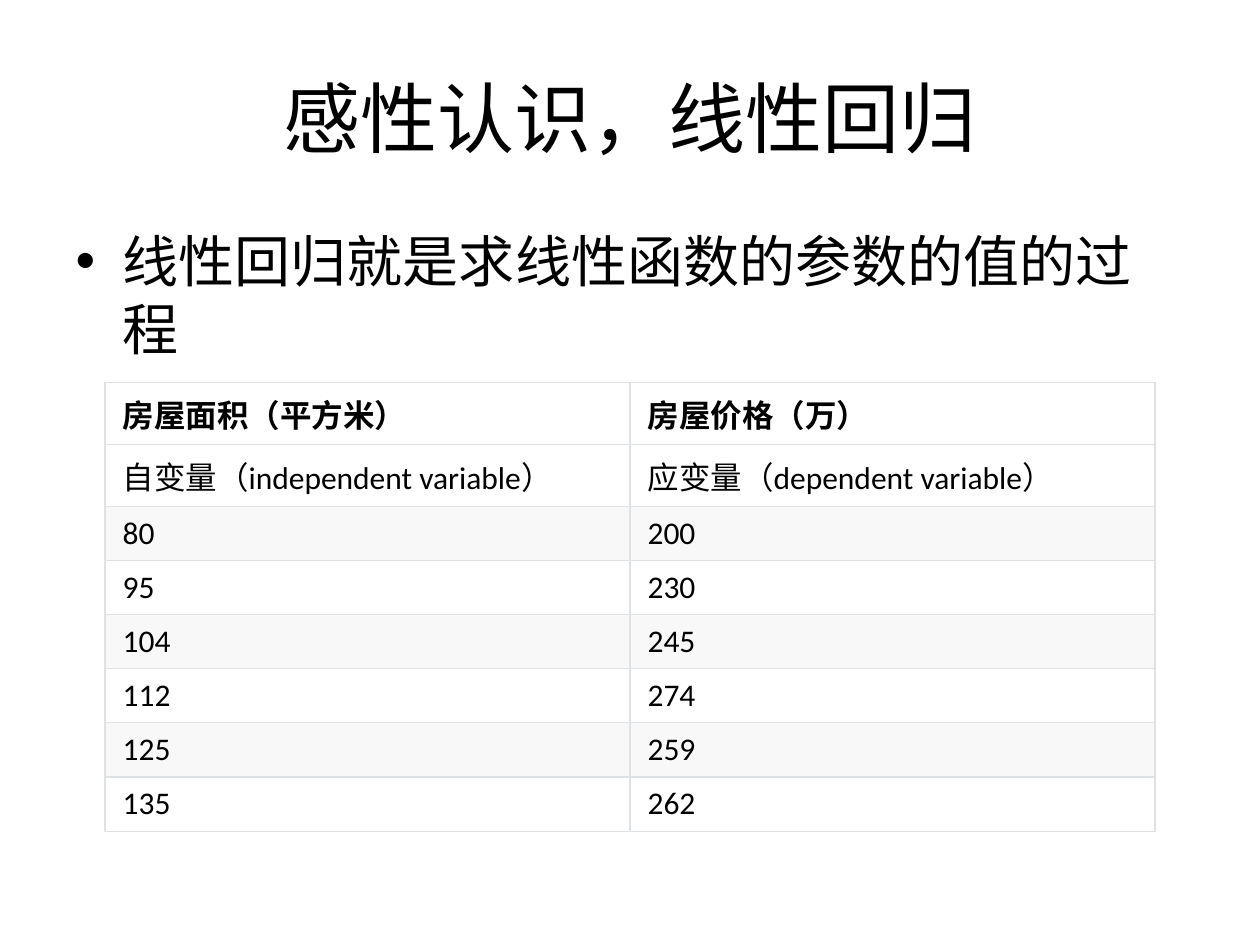
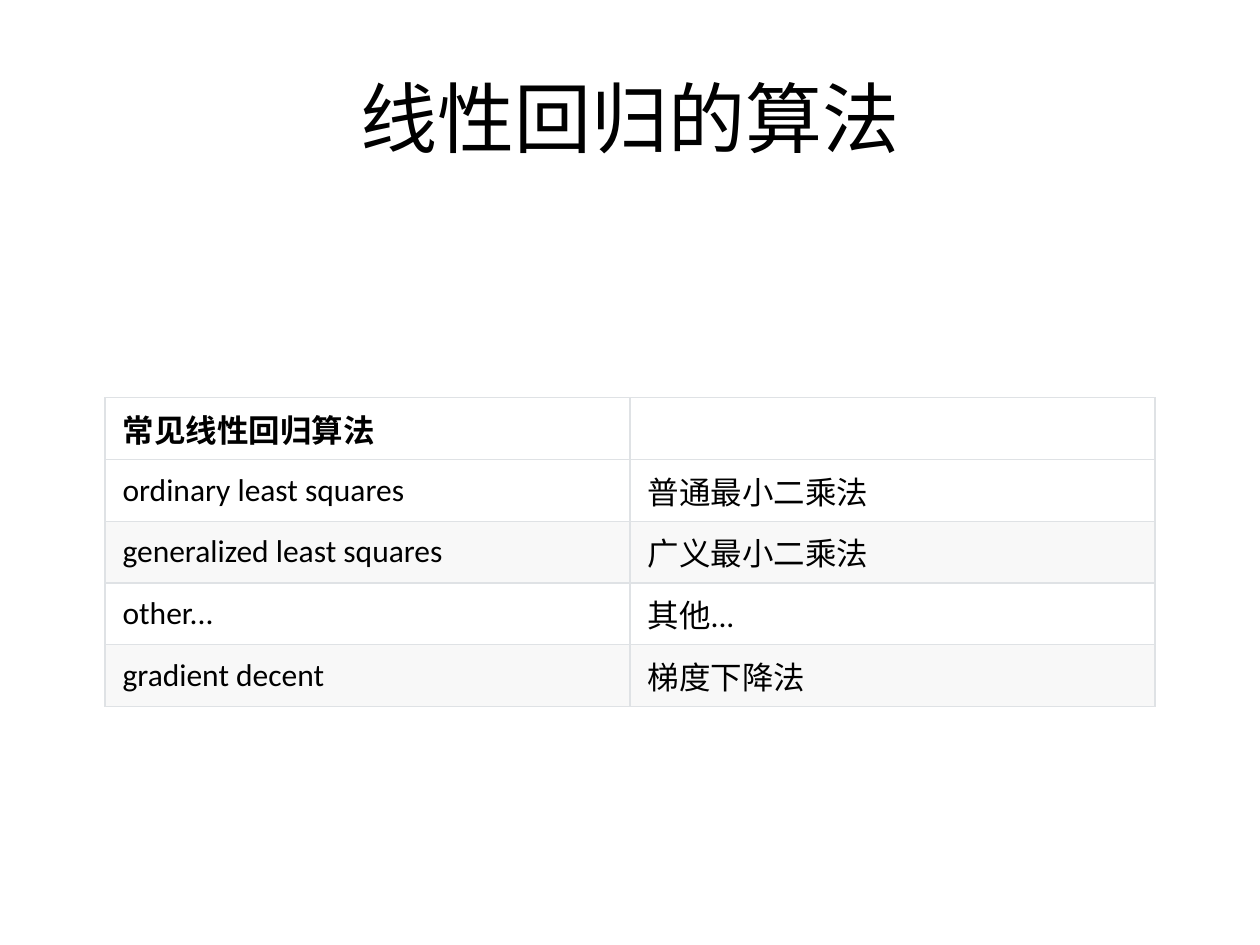
from dataclasses import dataclass

import pptx
import pptx.dml.color
import pptx.enum.text
import pptx.oxml
import pptx.oxml.ns
import pptx.util
from pptx.util import Inches


@dataclass(frozen=True)
class Theme:
    font: str = "Calibri"
    ink: str = "000000"
    band: str = "F8F8F8"
    rule: str = "DFE2E5"
    title_size: int = 44
    body_size: int = 32
    table_size: int = 18
    rule_width: float = 0.75


THEME = Theme()
SLIDE_W, SLIDE_H = Inches(10), Inches(7.5)
TITLE_AND_CONTENT, TITLE_ONLY = 1, 5

# Boxes as shares of the slide: left, top, width, height
TITLE_BOX = (0.05, 0.04, 0.9, 1 / 6)
BODY_BOX = (0.05, 7 / 30, 0.9, 0.66)
TABLE_LEFT, TABLE_WIDTH = 1 / 12, 10 / 12

# Rows with Chinese text need more height than rows of digits
CHINESE_ROW, DIGIT_ROW = Inches(0.49), Inches(0.43)
CELL_SIDE, CELL_EDGE = Inches(0.14), Inches(0.06)

HOUSE_PRICES = [
    ("房屋面积（平方米）", "房屋价格（万）"),
    ("自变量（independent variable）", "应变量（dependent variable）"),
    ("80", "200"),
    ("95", "230"),
    ("104", "245"),
    ("112", "274"),
    ("125", "259"),
    ("135", "262"),
]
ALGORITHMS = [
    ("常见线性回归算法", ""),
    ("ordinary least squares", "普通最小二乘法"),
    ("generalized least squares", "广义最小二乘法"),
    ("other...", "其他..."),
    ("gradient decent", "梯度下降法"),
]


def style_text(paragraph, size, bold=False):
    font = paragraph.font
    font.name = THEME.font
    font.size = pptx.util.Pt(size)
    font.bold = bold
    font.color.rgb = pptx.dml.color.RGBColor.from_string(THEME.ink)


def fill_placeholder(placeholder, box, text, size):
    left, top, width, height = box
    placeholder.left, placeholder.width = int(left * SLIDE_W), int(width * SLIDE_W)
    placeholder.top, placeholder.height = int(top * SLIDE_H), int(height * SLIDE_H)
    placeholder.text_frame.text = text
    style_text(placeholder.text_frame.paragraphs[0], size)


def add_titled_slide(deck, layout, title):
    slide = deck.slides.add_slide(deck.slide_layouts[layout])
    fill_placeholder(slide.shapes.title, TITLE_BOX, title, THEME.title_size)
    slide.shapes.title.text_frame.vertical_anchor = pptx.enum.text.MSO_ANCHOR.MIDDLE
    return slide


def add_borders(cell):
    properties = cell._tc.get_or_add_tcPr()
    for side in ("lnL", "lnR", "lnT", "lnB"):
        properties.append(pptx.oxml.parse_xml(
            f'<a:{side} {pptx.oxml.ns.nsdecls("a")} w="{pptx.util.Pt(THEME.rule_width)}">'
            f'<a:solidFill><a:srgbClr val="{THEME.rule}"/></a:solidFill></a:{side}>'))


def format_cell(cell, text, is_header, is_banded):
    cell.text = text
    style_text(cell.text_frame.paragraphs[0], THEME.table_size, is_header)
    cell.vertical_anchor = pptx.enum.text.MSO_ANCHOR.MIDDLE
    cell.margin_left = cell.margin_right = CELL_SIDE
    cell.margin_top = cell.margin_bottom = CELL_EDGE
    add_borders(cell)
    if is_banded:
        cell.fill.solid()
        cell.fill.fore_color.rgb = pptx.dml.color.RGBColor.from_string(THEME.band)
    else:
        cell.fill.background()


def add_ruled_table(slide, top, records):
    heights = [DIGIT_ROW if "".join(record).isdigit() else CHINESE_ROW
               for record in records]
    table = slide.shapes.add_table(
        len(records), len(records[0]), int(TABLE_LEFT * SLIDE_W), int(top * SLIDE_H),
        int(TABLE_WIDTH * SLIDE_W), sum(heights)).table
    table.first_row = table.horz_banding = False
    for index, (record, height) in enumerate(zip(records, heights)):
        table.rows[index].height = height
        for column, text in enumerate(record):
            # Every second row after the header is shaded
            format_cell(table.cell(index, column), text, index == 0,
                        index > 0 and index % 2 == 0)


def main():
    deck = pptx.Presentation()
    deck.slide_width, deck.slide_height = SLIDE_W, SLIDE_H

    # Linear regression by example
    example = add_titled_slide(deck, TITLE_AND_CONTENT, "感性认识，线性回归")
    fill_placeholder(example.placeholders[1], BODY_BOX,
                     "线性回归就是求线性函数的参数的值的过程", THEME.body_size)
    add_ruled_table(example, 0.405, HOUSE_PRICES)

    # Common algorithms
    algorithms = add_titled_slide(deck, TITLE_ONLY, "线性回归的算法")
    add_ruled_table(algorithms, 0.421, ALGORITHMS)

    deck.save("out.pptx")


if __name__ == "__main__":
    main()
